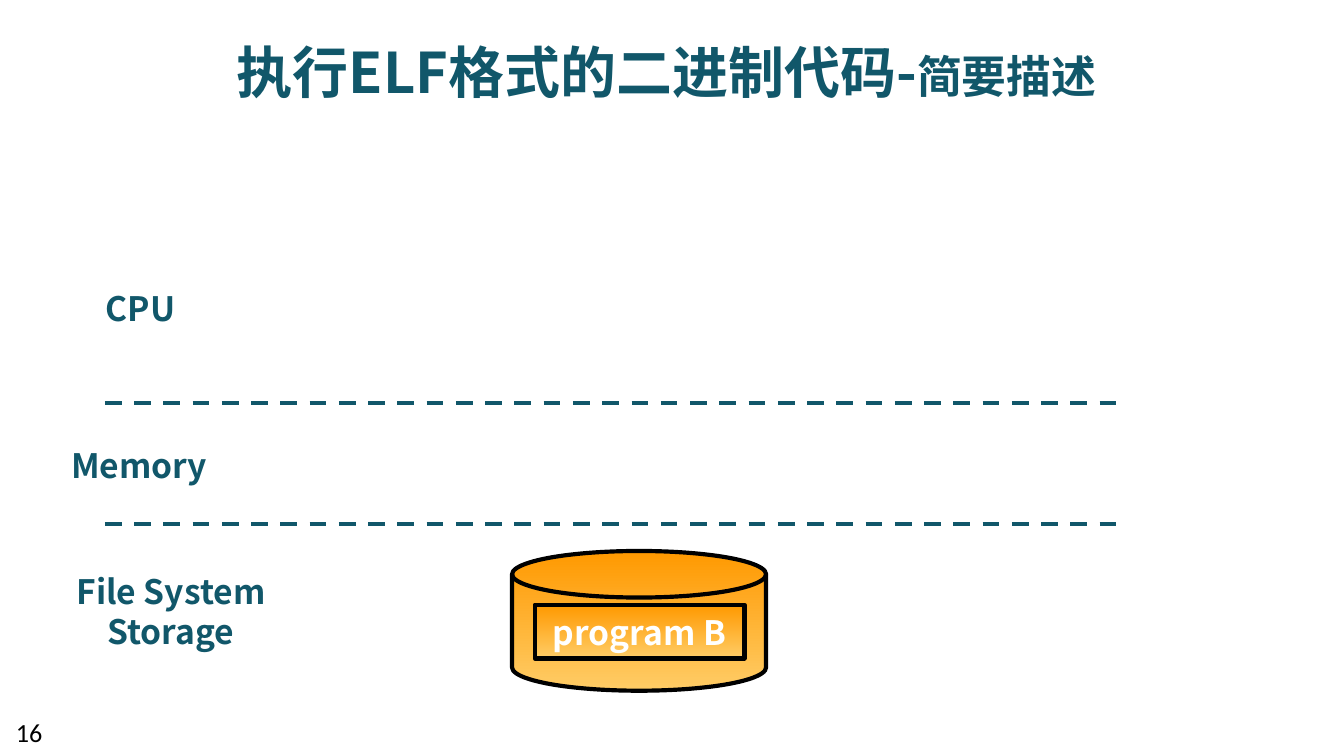
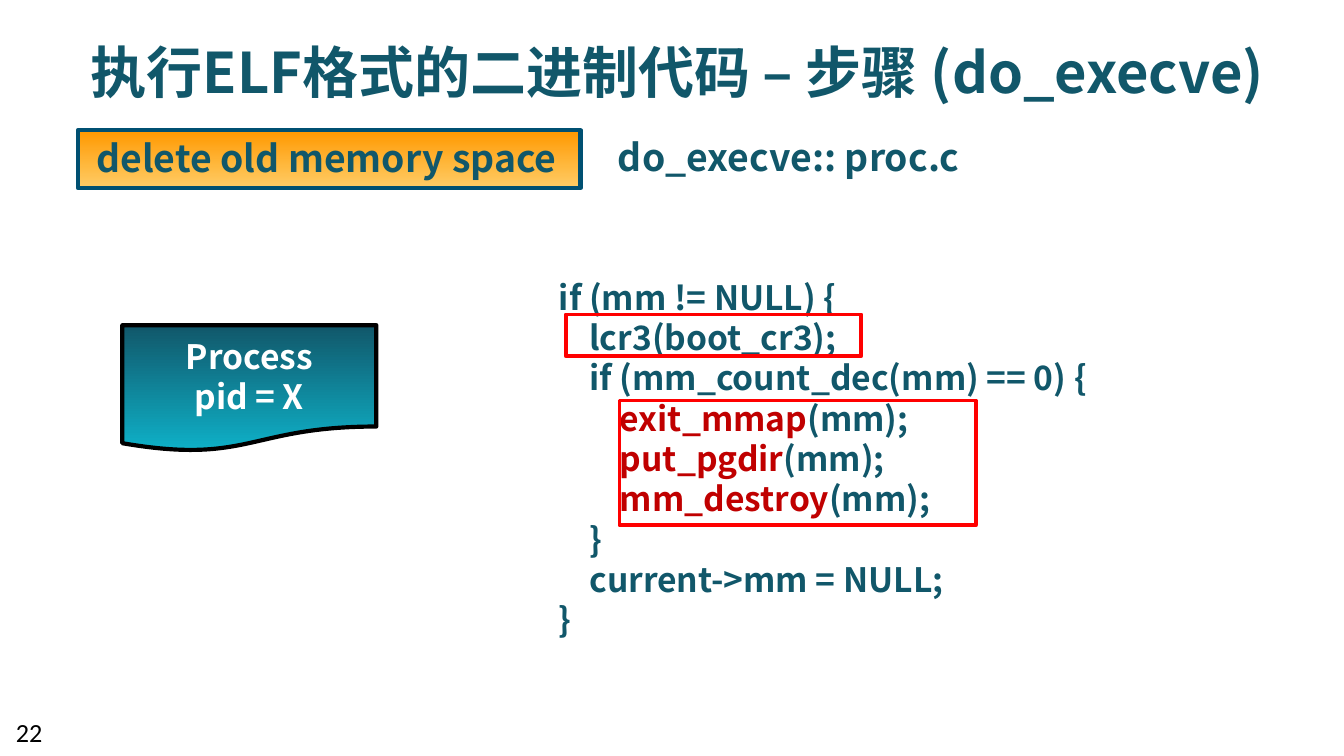
from dataclasses import dataclass
from typing import NamedTuple, Optional, Sequence

from lxml import etree
from pptx import Presentation
from pptx.dml.color import RGBColor
from pptx.enum.dml import MSO_LINE
from pptx.enum.shapes import MSO_CONNECTOR, MSO_SHAPE
from pptx.enum.text import MSO_ANCHOR, MSO_AUTO_SIZE, PP_ALIGN
from pptx.oxml.ns import qn
from pptx.util import Pt

PX = 9144  # 100 px to the inch
SLIDE_WIDTH = 1000 * PX
SLIDE_HEIGHT = SLIDE_WIDTH * 9 // 16
TITLE_ONLY = 5
LEFT, CENTER = PP_ALIGN.LEFT, PP_ALIGN.CENTER
TOP, MIDDLE = MSO_ANCHOR.TOP, MSO_ANCHOR.MIDDLE
RECTANGLE = MSO_SHAPE.RECTANGLE
DISK = MSO_SHAPE.FLOWCHART_MAGNETIC_DISK
DOCUMENT = MSO_SHAPE.FLOWCHART_DOCUMENT
STRAIGHT = MSO_CONNECTOR.STRAIGHT
DASH = MSO_LINE.DASH
FIXED, GROW = MSO_AUTO_SIZE.NONE, MSO_AUTO_SIZE.SHAPE_TO_FIT_TEXT


@dataclass(frozen=True)
class Theme:
    font: str = "Noto Sans CJK SC"
    number_font: str = "Calibri"
    teal: str = "11576A"
    white: str = "FFFFFF"
    black: str = "000000"
    call_red: str = "C00000"
    frame_red: str = "FF0000"
    step_border: str = "005072"
    orange: tuple = ("FFCC66", "FF9900")
    ocean: tuple = ("0EB1C8", "11576A")
    title_size: int = 30
    subtitle_size: int = 24
    heading_size: int = 20
    body_size: int = 18
    number_size: int = 14
    line_height: float = 1.2
    border: float = 2.25
    frame_border: float = 2


THEME = Theme()


class Box(NamedTuple):
    left: int
    top: int
    width: int
    height: int

    def emu(self) -> list[int]:
        return [length * PX for length in self]


class Span(NamedTuple):
    text: str
    color: Optional[str] = None
    size: Optional[int] = None


class Label(NamedTuple):
    box: Box
    lines: tuple
    alignments: tuple = (LEFT,)


LAYER_LABELS = (
    Label(Box(69, 209, 73, 40), ("CPU",)),
    Label(Box(43, 326, 129, 40), ("Memory",)),
    Label(Box(47, 420, 171, 71), ("File System", "Storage"), (LEFT, CENTER)),
)
LAYER_BORDERS = (300, 390)


def call_line(name: str) -> list[Span]:
    return [Span("        "), Span(name, THEME.call_red), Span("(mm);")]


CODE = (
    "if (mm != NULL) {",
    "    lcr3(boot_cr3);",
    "    if (mm_count_dec(mm) == 0) {",
    *map(call_line, ("exit_mmap", "put_pgdir", "mm_destroy")),
    "    }",
    "    current->mm = NULL;",
    "}",
)
CODE_FRAMES = (Box(421, 234, 220, 31), Box(461, 298, 265, 93))


def write_text(frame, lines: Sequence, *, size: int = THEME.body_size,
               color: str = THEME.teal, font: str = THEME.font,
               bold: bool = True, alignments: Sequence = (LEFT,),
               anchor=TOP, wrap: bool = True, fit=FIXED) -> None:
    """Fill a frame; a line is a string or spans, the last alignment repeats."""
    frame.word_wrap = wrap
    frame.auto_size = fit
    frame.vertical_anchor = anchor
    for index, line in enumerate(lines):
        paragraph = frame.paragraphs[0] if index == 0 else frame.add_paragraph()
        paragraph.alignment = alignments[min(index, len(alignments) - 1)]
        paragraph.line_spacing = Pt(size * THEME.line_height)
        for span in [Span(line)] if isinstance(line, str) else line:
            run = paragraph.add_run()
            run.text = span.text
            run.font.size = Pt(span.size or size)
            run.font.bold = bold
            run.font.color.rgb = RGBColor.from_string(span.color or color)
            run.font.name = font
            east_asian = etree.SubElement(run.font._element, qn("a:ea"))
            east_asian.set("typeface", font)


def add_text(shapes, box: Box, lines: Sequence, *, fit=GROW, **text_format) -> None:
    frame = shapes.add_textbox(*box.emu()).text_frame
    write_text(frame, lines, fit=fit, **text_format)


def add_figure(shapes, kind, box: Box, *, gradient: Optional[tuple] = None,
               border: str = THEME.black, border_width: float = THEME.border):
    """Draw a preset shape; the gradient runs from bottom to top."""
    shape = shapes.add_shape(kind, *box.emu())
    shape.shadow.inherit = False
    shape.line.color.rgb = RGBColor.from_string(border)
    shape.line.width = Pt(border_width)
    if gradient is None:
        shape.fill.background()
        return shape
    shape.fill.gradient()
    shape.fill.gradient_angle = 90
    for position, (stop, color) in enumerate(zip(shape.fill.gradient_stops, gradient)):
        stop.position = position
        stop.color.rgb = RGBColor.from_string(color)
    return shape


def add_layer_border(shapes, top: int) -> None:
    left, right = 78, 831
    connector = shapes.add_connector(STRAIGHT, left * PX, top * PX, right * PX, top * PX)
    connector.line.color.rgb = RGBColor.from_string(THEME.teal)
    connector.line.width = Pt(THEME.border)
    connector.line.dash_style = DASH
    etree.SubElement(connector._element.spPr, qn("a:effectLst"))


def add_titled_slide(presentation, box: Box, title: Sequence[Span], number: int):
    slide = presentation.slides.add_slide(presentation.slide_layouts[TITLE_ONLY])
    placeholder = slide.shapes.title
    placeholder.left, placeholder.top, placeholder.width, placeholder.height = box.emu()
    write_text(placeholder.text_frame, [title], size=THEME.title_size, alignments=(CENTER,))
    add_text(slide.shapes, Box(2, 528, 48, 30), [str(number)], fit=FIXED, bold=False,
             size=THEME.number_size, color=THEME.black, font=THEME.number_font)
    return slide


def build_overview(presentation) -> None:
    title = [Span("执行ELF格式的二进制代码-"), Span("简要描述", size=THEME.subtitle_size)]
    shapes = add_titled_slide(presentation, Box(130, 23, 732, 61), title, 16).shapes
    for top in LAYER_BORDERS:
        add_layer_border(shapes, top)
    for label in LAYER_LABELS:
        add_text(shapes, label.box, label.lines, alignments=label.alignments, wrap=False)
    add_figure(shapes, DISK, Box(381, 410, 189, 104), gradient=THEME.orange)
    program = add_figure(shapes, RECTANGLE, Box(398, 450, 156, 40), gradient=THEME.orange)
    write_text(program.text_frame, ["program B"], color=THEME.white,
               alignments=(CENTER,), anchor=MIDDLE)


def build_execve_step(presentation) -> None:
    title = [Span("执行ELF格式的二进制代码 – 步骤 (do_execve)")]
    shapes = add_titled_slide(presentation, Box(39, 23, 930, 61), title, 22).shapes
    add_text(shapes, Box(450, 95, 276, 44), ["do_execve:: proc.c"],
             size=THEME.heading_size, wrap=False)
    add_text(shapes, Box(406, 201, 442, 283), CODE)

    step = shapes.add_group_shape().shapes
    add_figure(step, RECTANGLE, Box(58, 97, 374, 43), gradient=THEME.orange,
               border=THEME.step_border)
    add_text(step, Box(55, 96, 376, 35), ["delete old memory space"],
             size=THEME.heading_size, alignments=(CENTER,), wrap=False)

    for box in CODE_FRAMES:
        add_figure(shapes, RECTANGLE, box, border=THEME.frame_red,
                   border_width=THEME.frame_border)
    add_figure(shapes, DOCUMENT, Box(91, 242, 189, 94), gradient=THEME.ocean)
    add_text(shapes, Box(127, 245, 117, 71), ["Process", "pid = X"],
             color=THEME.white, alignments=(CENTER,), wrap=False)


def main() -> None:
    presentation = Presentation()
    presentation.slide_width = SLIDE_WIDTH
    presentation.slide_height = SLIDE_HEIGHT
    build_overview(presentation)
    build_execve_step(presentation)
    presentation.save("out.pptx")


if __name__ == "__main__":
    main()
